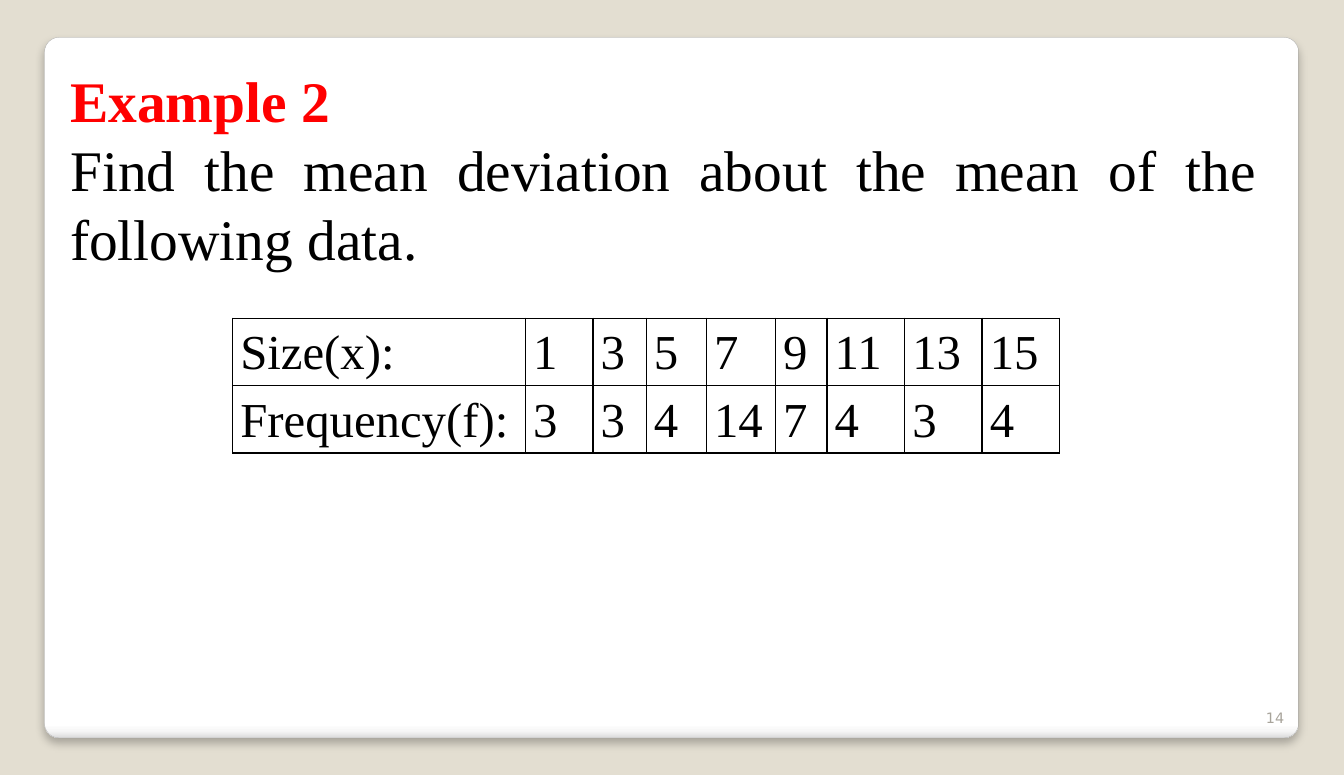
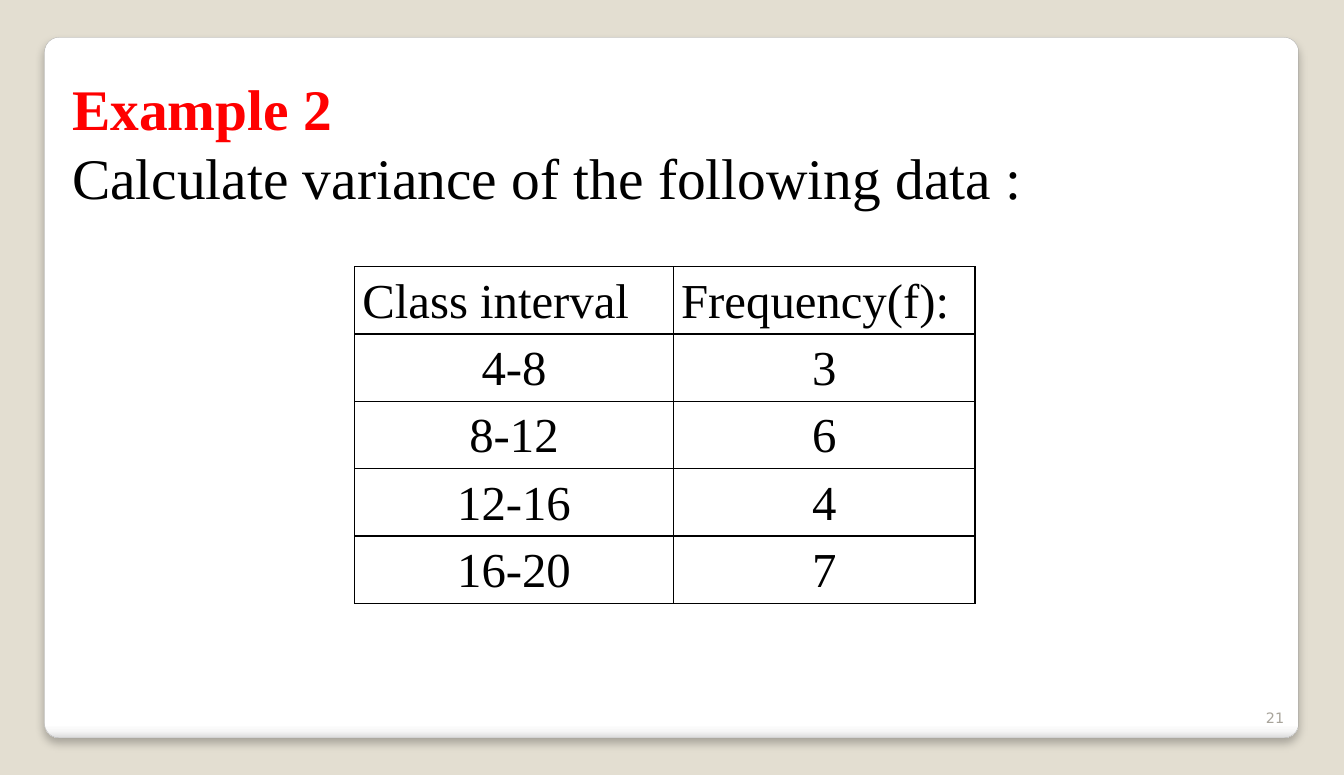
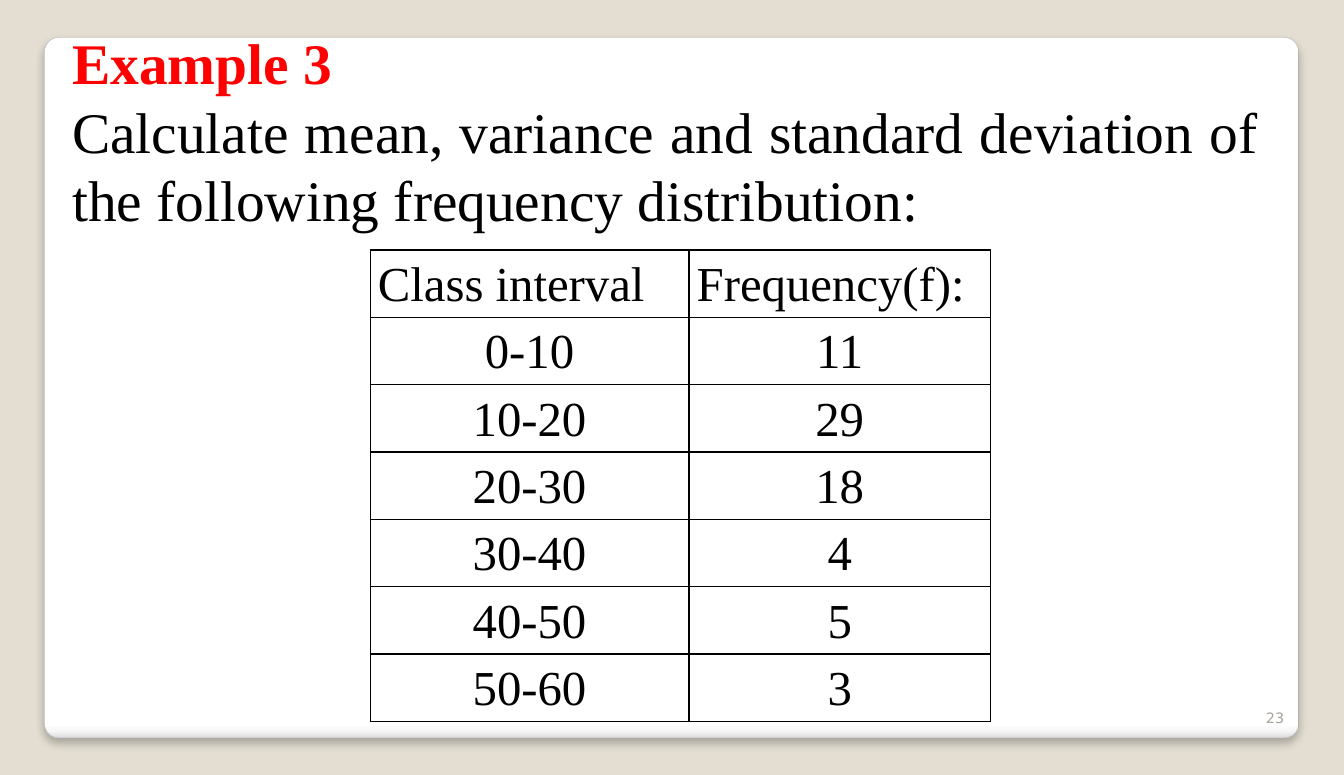
from lxml import etree
from pptx import Presentation
from pptx.dml.color import RGBColor
from pptx.enum.shapes import MSO_SHAPE
from pptx.enum.text import MSO_ANCHOR as ANCHOR, PP_ALIGN as ALIGN
from pptx.oxml import parse_xml
from pptx.oxml.ns import nsdecls, qn
from pptx.util import Pt

BACKDROP, PANEL_LINE, NUMBER = "E3DED1", "A4A4A4", "A8A49B"
RED, BLACK = "FF0000", "000000"
SERIF, SANS = "Times New Roman", "DejaVu Sans"
PANEL_STOPS = [(0, "FFFFFF"), (98, "FFFFFF"), (99, "F7F7F7"), (100, "DADADA")]
ROW_HEIGHT = 46.9
CLASS_WIDTHS = [222, 210]


def rgb(hex_string):
    """Turn a hex string into a colour."""
    return RGBColor.from_string(hex_string)


def add_run(p, text, size, color=BLACK, font=SERIF, bold=False):
    """Append one formatted run to a paragraph."""
    r = p.add_run()
    r.text = text
    r.font.size = Pt(size)
    r.font.name = font
    r.font.bold = bold
    r.font.color.rgb = rgb(color)


def add_box(slide, left, top, width, height, anchor=ANCHOR.TOP):
    """Add a wrapping text box and return its text frame."""
    box = slide.shapes.add_textbox(Pt(left), Pt(top), Pt(width), Pt(height))
    tf = box.text_frame
    tf.word_wrap = True
    tf.vertical_anchor = anchor
    return tf


def add_panel(slide):
    """Add the rounded white panel with its shaded lower edge and shadow."""
    sp = slide.shapes.add_shape(MSO_SHAPE.ROUNDED_RECTANGLE,
                                Pt(31), Pt(26), Pt(873.4), Pt(488.2))
    sp.adjustments[0] = 0.021
    sp.shadow.inherit = False
    sp.line.color.rgb = rgb(PANEL_LINE)
    sp.line.width = Pt(0.16)
    sp.fill.gradient()
    sp.fill.gradient_angle = 270
    stops = sp.element.spPr.find(qn("a:gradFill")).find(qn("a:gsLst"))
    stops.clear()
    for percent, color in PANEL_STOPS:
        stop = etree.SubElement(stops, qn("a:gs"), pos=str(percent * 1000))
        etree.SubElement(stop, qn("a:srgbClr"), val=color)
    effects = sp.element.spPr.find(qn("a:effectLst"))
    effects.append(parse_xml(
        f'<a:outerShdw {nsdecls("a")} blurRad="{Pt(6)}" dist="{Pt(4)}" dir="5400000" '
        f'algn="t" rotWithShape="0"><a:srgbClr val="{BLACK}"><a:alpha val="25000"/>'
        '</a:srgbClr></a:outerShdw>'))


def add_number(slide, number):
    """Add the slide number in the lower right corner."""
    tf = add_box(slide, 854.6, 481, 46.8, 28.8, ANCHOR.BOTTOM)
    p = tf.paragraphs[0]
    p.alignment = ALIGN.RIGHT
    add_run(p, str(number), 10, NUMBER, SANS)


def add_exercise(slide, left, top, height, heading, task):
    """Add the red example heading with the task below it."""
    tf = add_box(slide, left, top, 840.2, height)
    p = tf.paragraphs[0]
    p.alignment = ALIGN.JUSTIFY
    add_run(p, heading, 40, RED, bold=True)
    p = tf.add_paragraph()
    p.alignment = ALIGN.JUSTIFY
    add_run(p, task, 40)


def add_borders(cell):
    """Draw a thin black line on all four sides of a cell."""
    tc_pr = cell._tc.get_or_add_tcPr()
    for i, side in enumerate("LRTB"):
        tc_pr.insert(i, parse_xml(
            f'<a:ln{side} {nsdecls("a")} w="{Pt(1)}"><a:solidFill>'
            f'<a:srgbClr val="{BLACK}"/></a:solidFill></a:ln{side}>'))


def add_data_table(slide, left, top, widths, rows, body_align=ALIGN.LEFT):
    """Add a ruled table whose first row is left-aligned."""
    frame = slide.shapes.add_table(len(rows), len(widths), Pt(left), Pt(top),
                                   Pt(sum(widths)), Pt(ROW_HEIGHT * len(rows)))
    table = frame.table
    table.first_row = table.horz_banding = False
    for column, width in zip(table.columns, widths):
        column.width = Pt(width)
    for i, values in enumerate(rows):
        table.rows[i].height = Pt(ROW_HEIGHT)
        for cell, value in zip(table.rows[i].cells, values):
            cell.margin_left = cell.margin_right = Pt(5.4)
            cell.margin_top = cell.margin_bottom = 0
            cell.fill.background()
            add_borders(cell)
            p = cell.text_frame.paragraphs[0]
            p.line_spacing = 1.15
            p.alignment = body_align if i else ALIGN.LEFT
            add_run(p, str(value), 34)


def add_class_table(slide, left, top, start, step, frequencies):
    """Add a frequency table over equal class intervals."""
    rows = [("Class interval", "Frequency(f):")]
    for i, frequency in enumerate(frequencies):
        low = start + i * step
        rows.append((f"{low}-{low + step}", frequency))
    add_data_table(slide, left, top, CLASS_WIDTHS, rows, ALIGN.CENTER)


def new_slide(prs, number):
    """Add a blank slide with the shared backdrop, panel and number."""
    slide = prs.slides.add_slide(prs.slide_layouts[6])
    slide.background.fill.solid()
    slide.background.fill.fore_color.rgb = rgb(BACKDROP)
    add_panel(slide)
    add_number(slide, number)
    return slide


def main():
    """Build the three example slides."""
    prs = Presentation()
    prs.slide_width, prs.slide_height = Pt(936), Pt(540)

    slide = new_slide(prs, 14)
    add_exercise(slide, 41.8, 41.8, 298, "Example 2",
                 "Find the mean deviation about the mean of the following data.")
    add_data_table(slide, 162, 221.8, [204, 47, 37, 42, 48, 36, 54, 54, 54],
                   [("Size(x):", *range(1, 16, 2)),
                    ("Frequency(f):", 3, 3, 4, 14, 7, 4, 3, 4)])

    slide = new_slide(prs, 21)
    add_exercise(slide, 43.2, 47.5, 201, "Example 2",
                 "Calculate variance of the following data :")
    add_class_table(slide, 247, 185.8, 4, 4, [3, 6, 4, 7])

    slide = new_slide(prs, 23)
    add_exercise(slide, 43.2, 15.1, 201, "Example 3",
                 "Calculate mean, variance and standard deviation of the following "
                 "frequency distribution:")
    add_class_table(slide, 257.8, 174.2, 0, 10, [11, 29, 18, 4, 5, 3])

    prs.save("out.pptx")


if __name__ == "__main__":
    main()
